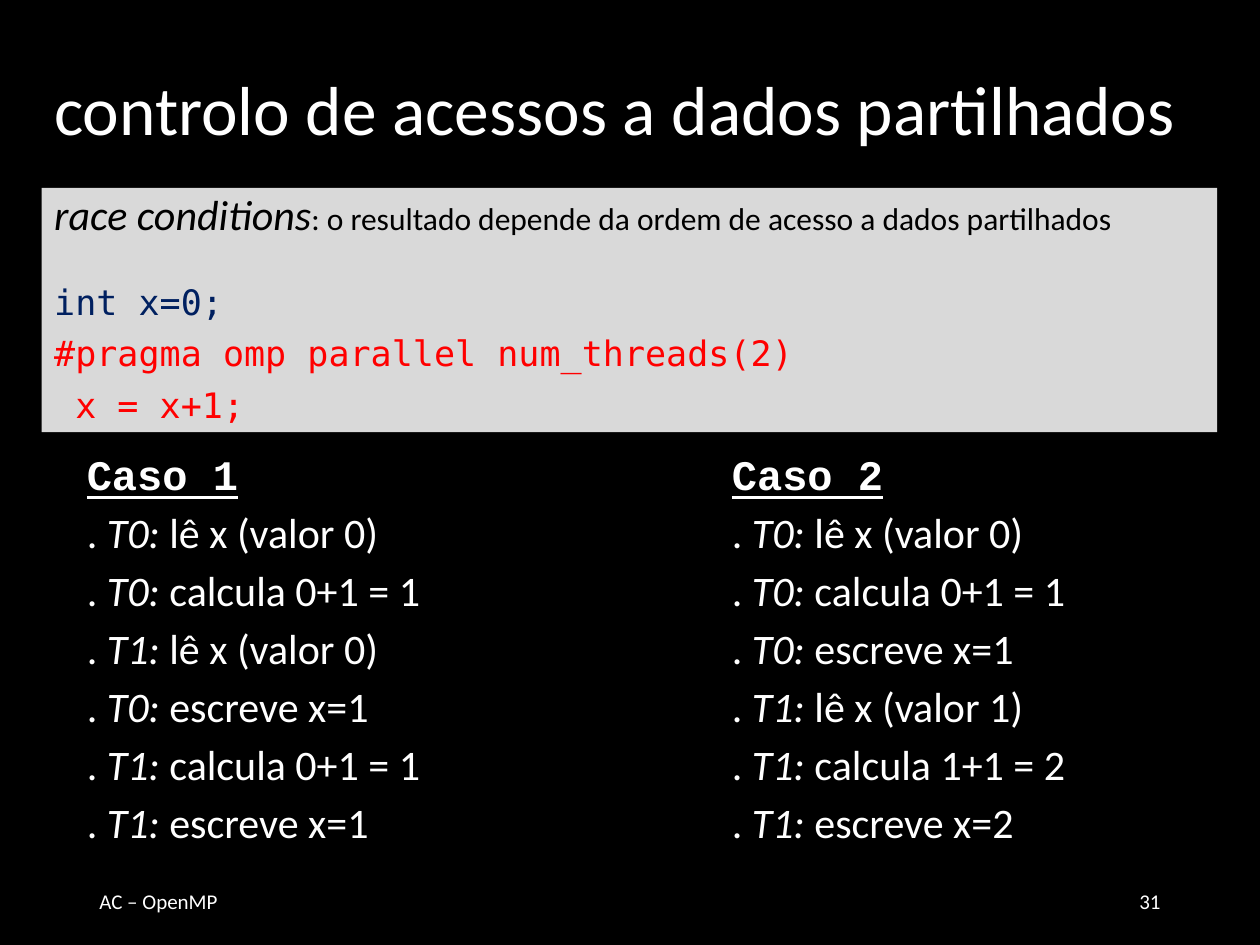
"""Build the slide on race conditions in shared data access."""
from lxml import etree
from pptx import Presentation
from pptx.dml.color import RGBColor
from pptx.enum.shapes import MSO_SHAPE
from pptx.enum.text import MSO_ANCHOR, MSO_AUTO_SIZE, PP_ALIGN
from pptx.oxml.ns import qn
from pptx.util import Inches, Pt

BLACK = RGBColor(0, 0, 0)
WHITE = RGBColor(0xFF, 0xFF, 0xFF)
GREY = RGBColor(0xD9, 0xD9, 0xD9)
NAVY = RGBColor(0, 0x20, 0x60)
RED = RGBColor(0xFF, 0, 0)
RECTANGLE = MSO_SHAPE.RECTANGLE
TOP, MIDDLE = MSO_ANCHOR.TOP, MSO_ANCHOR.MIDDLE
LEFT, RIGHT = PP_ALIGN.LEFT, PP_ALIGN.RIGHT
NO_AUTOFIT = MSO_AUTO_SIZE.NONE
SANS, MONO, CODE = "Calibri", "Courier New", "DejaVu Sans Mono"

CASES = {
    "Caso 1": ["T0: lê x (valor 0)", "T0: calcula 0+1 = 1", "T1: lê x (valor 0)",
               "T0: escreve x=1", "T1: calcula 0+1 = 1", "T1: escreve x=1"],
    "Caso 2": ["T0: lê x (valor 0)", "T0: calcula 0+1 = 1", "T0: escreve x=1",
               "T1: lê x (valor 1)", "T1: calcula 1+1 = 2", "T1: escreve x=2"],
}


def add_run(paragraph, text, size=24, font=SANS, color=WHITE, bold=False,
            italic=False, underline=False):
    run = paragraph.add_run()
    run.text = text
    run.font.size = Pt(size)
    run.font.name = font
    run.font.color.rgb = color
    run.font.bold = bold
    run.font.italic = italic
    run.font.underline = underline


class RaceSlide:
    def __init__(self, presentation):
        self.slide = presentation.slides.add_slide(presentation.slide_layouts[1])
        background = self.slide.background.fill
        background.solid()
        background.fore_color.rgb = BLACK

    def place(self, shape, left, top, width, height, anchor=TOP, margin_top=0.05):
        shape.left, shape.top = Inches(left), Inches(top)
        shape.width, shape.height = Inches(width), Inches(height)
        frame = shape.text_frame
        frame.word_wrap = True
        frame.auto_size = NO_AUTOFIT
        frame.vertical_anchor = anchor
        frame.margin_top = Inches(margin_top)
        return frame

    def paragraph(self, frame, before=0, spacing=1.0, align=LEFT):
        first = frame.paragraphs[0]
        paragraph = frame.add_paragraph() if first.runs else first
        paragraph.space_before = Pt(before)
        paragraph.line_spacing = spacing
        paragraph.alignment = align
        return paragraph

    def title(self, text):
        frame = self.place(self.slide.shapes.title, 0.33, 0.4, 9.33, 0.99, MIDDLE)
        add_run(self.paragraph(frame, spacing=0.9), text, size=39.6)

    def body(self, term, definition, code):
        body = self.slide.placeholders[1]
        frame = self.place(body, 0.33, 1.49, 9.33, 1.94, margin_top=0.08)
        body.fill.solid()
        body.fill.fore_color.rgb = GREY
        intro = self.body_line(frame, 0)
        add_run(intro, term, color=BLACK, italic=True)
        add_run(intro, definition, size=18, color=BLACK)
        for text, color, before in code:
            add_run(self.body_line(frame, before), text, size=20, font=CODE, color=color)

    def body_line(self, frame, before):
        line = self.paragraph(frame, before, 0.8)
        properties = line._p.get_or_add_pPr()
        properties.set("marL", "0")
        properties.set("indent", "0")
        etree.SubElement(properties, qn("a:buNone"))
        return line

    def case(self, left, heading, steps):
        panel = self.slide.shapes.add_shape(RECTANGLE, 0, 0, 0, 0)
        panel.shadow.inherit = False
        panel.fill.solid()
        panel.fill.fore_color.rgb = BLACK
        panel.line.color.rgb = BLACK
        panel.line.width = Pt(0.75)
        frame = self.place(panel, left, 3.44, 3.15, 3.39, margin_top=0.12)
        add_run(self.paragraph(frame), heading, font=MONO, bold=True, underline=True)
        for step in steps:
            thread, action = step.split(" ", 1)
            line = self.paragraph(frame, before=4.3)
            add_run(line, ". ")
            add_run(line, thread, italic=True)
            add_run(line, f" {action}")

    def footer(self, left, text, align):
        box = self.slide.shapes.add_textbox(0, 0, 0, 0)
        frame = self.place(box, left, 6.95, 2.25, 0.4, MIDDLE)
        add_run(self.paragraph(frame, align=align), text, size=12)


def main():
    presentation = Presentation()
    presentation.slide_width = Inches(10)
    presentation.slide_height = Inches(7.5)
    race = RaceSlide(presentation)
    race.title("controlo de acessos a dados partilhados")
    race.body("race conditions",
              ": o resultado depende da ordem de acesso a dados partilhados",
              [("int x=0;", NAVY, 29),
               ("#pragma omp parallel num_threads(2)", RED, 10),
               (" x = x+1;", RED, 10)])
    race.footer(0.69, "AC – OpenMP", LEFT)
    race.footer(7.06, "31", RIGHT)
    for left, (heading, steps) in zip((0.59, 5.71), CASES.items()):
        race.case(left, heading, steps)
    presentation.save("out.pptx")


if __name__ == "__main__":
    main()
